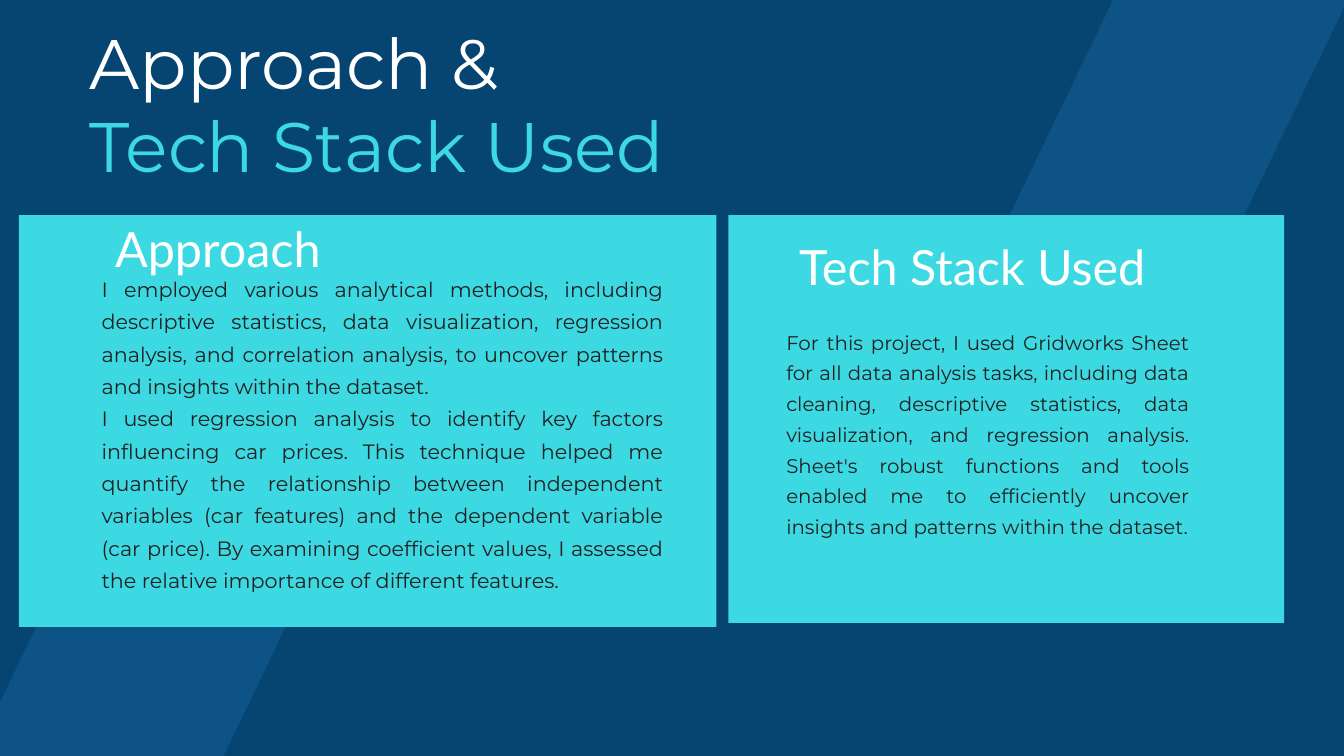
from pptx import Presentation
from pptx.dml.color import RGBColor as Rgb
from pptx.enum.shapes import MSO_SHAPE as Kind
from pptx.enum.text import PP_ALIGN as Align
from pptx.util import Cm, Pt

THEME = {
    "back": "064472", "band": "0E5386", "card": "3DD9E3",
    # style: font, size, line spacing, colour, alignment
    "title": ("Montserrat", 75, 82.5, "FFFFFF", Align.LEFT),
    "accent": ("Montserrat", 75, 82.5, "3DD9E3", Align.LEFT),
    "head": ("Lato", 52, 72.8, "FFFFFF", Align.CENTER),
    "large": ("Montserrat", 22.2, 34.6, "212121", Align.JUSTIFY),
    "small": ("Montserrat", 21.2, 33, "212121", Align.JUSTIFY),
}

# Every box is left, top, width, height in centimetres.
BANDS = [(36.75, -7.37, 17.73, 18.44), (-7.26, 22.05, 18.85, 19.6)]
TITLES = [
    ("title", (3.38, 0.99, 18.8, 2.97), ["Approach &"]),
    ("accent", (3.38, 4.14, 23.7, 2.97), ["Tech Stack Used"]),
]
CARDS = [
    {
        "box": (0.71, 8.13, 26.37, 15.57),
        "texts": [
            ("head", (3.84, 7.92, 8.79, 2.39), ["Approach"]),
            ("large", (3.84, 10.19, 21.23, 12.04), [
                "I employed various analytical methods, including descriptive "
                "statistics, data visualization, regression analysis, and "
                "correlation analysis, to uncover patterns and insights "
                "within the dataset.",
                "I used regression analysis to identify key factors "
                "influencing car prices. This technique helped me quantify "
                "the relationship between independent variables (car "
                "features) and the dependent variable (car price). By "
                "examining coefficient values, I assessed the relative "
                "importance of different features.",
            ]),
        ],
    },
    {
        "box": (27.53, 8.13, 21.01, 15.42),
        "texts": [
            ("head", (29.13, 8.61, 15.24, 2.46), ["Tech Stack Used"]),
            ("small", (29.72, 12.22, 15.24, 8.1), [
                "For this project, I used Gridworks Sheet for all data "
                "analysis tasks, including data cleaning, descriptive "
                "statistics, data visualization, and regression analysis. "
                "Sheet's robust functions and tools enabled me to "
                "efficiently uncover insights and patterns within the "
                "dataset.",
            ]),
        ],
    },
]


def paint(shape, tint):
    shape.shadow.inherit = False
    shape.fill.solid()
    shape.fill.fore_color.rgb = Rgb.from_string(THEME[tint])
    shape.line.fill.background()


def add_band(slide, box):
    """Draw a slanted band whose top edge starts at the middle of its box."""
    x, y, w, h = map(Cm, box)
    mid = x + w // 2
    pen = slide.shapes.build_freeform(mid, y)
    pen.add_line_segments([(x + w, y), (mid, y + h), (x, y + h)], close=True)
    paint(pen.convert_to_shape(), "band")


def add_text(slide, style, box, lines):
    font, size, pitch, tint, align = THEME[style]
    frame = slide.shapes.add_textbox(*map(Cm, box)).text_frame
    frame.word_wrap = True
    frame.margin_left = frame.margin_right = 0
    frame.margin_top = frame.margin_bottom = 0
    frame.text = "\n".join(lines)
    for para in frame.paragraphs:
        para.alignment = align
        para.line_spacing = Pt(pitch)
        para.font.name = font
        para.font.size = Pt(size)
        para.font.color.rgb = Rgb.from_string(tint)


def main():
    deck = Presentation()
    deck.slide_width, deck.slide_height = Cm(50.8), Cm(28.58)
    slide = deck.slides.add_slide(deck.slide_layouts[6])
    fill = slide.background.fill
    fill.solid()
    fill.fore_color.rgb = Rgb.from_string(THEME["back"])

    for box in BANDS:
        add_band(slide, box)
    for title in TITLES:
        add_text(slide, *title)
    for card in CARDS:
        rect = slide.shapes.add_shape(Kind.RECTANGLE, *map(Cm, card["box"]))
        paint(rect, "card")
        for text in card["texts"]:
            add_text(slide, *text)
    deck.save("out.pptx")


if __name__ == "__main__":
    main()
